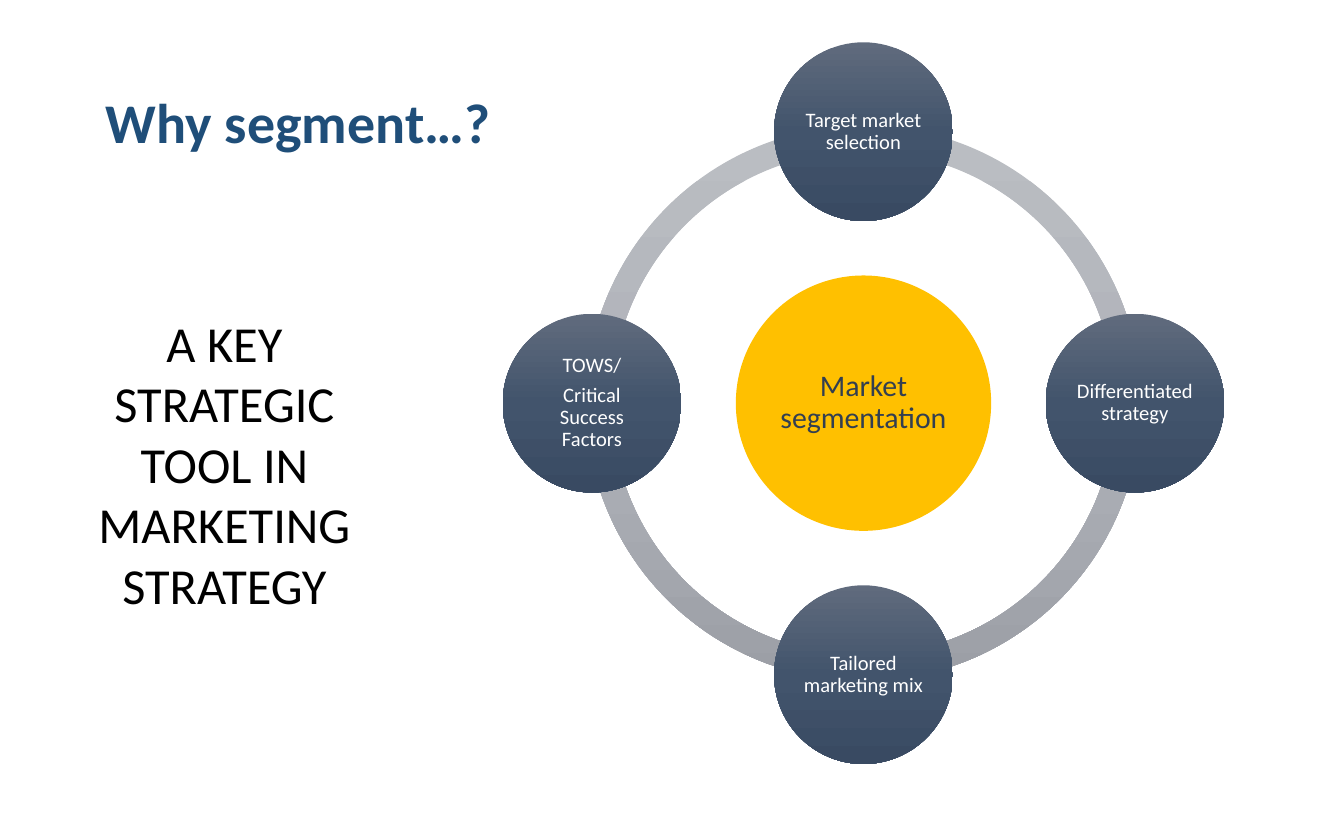
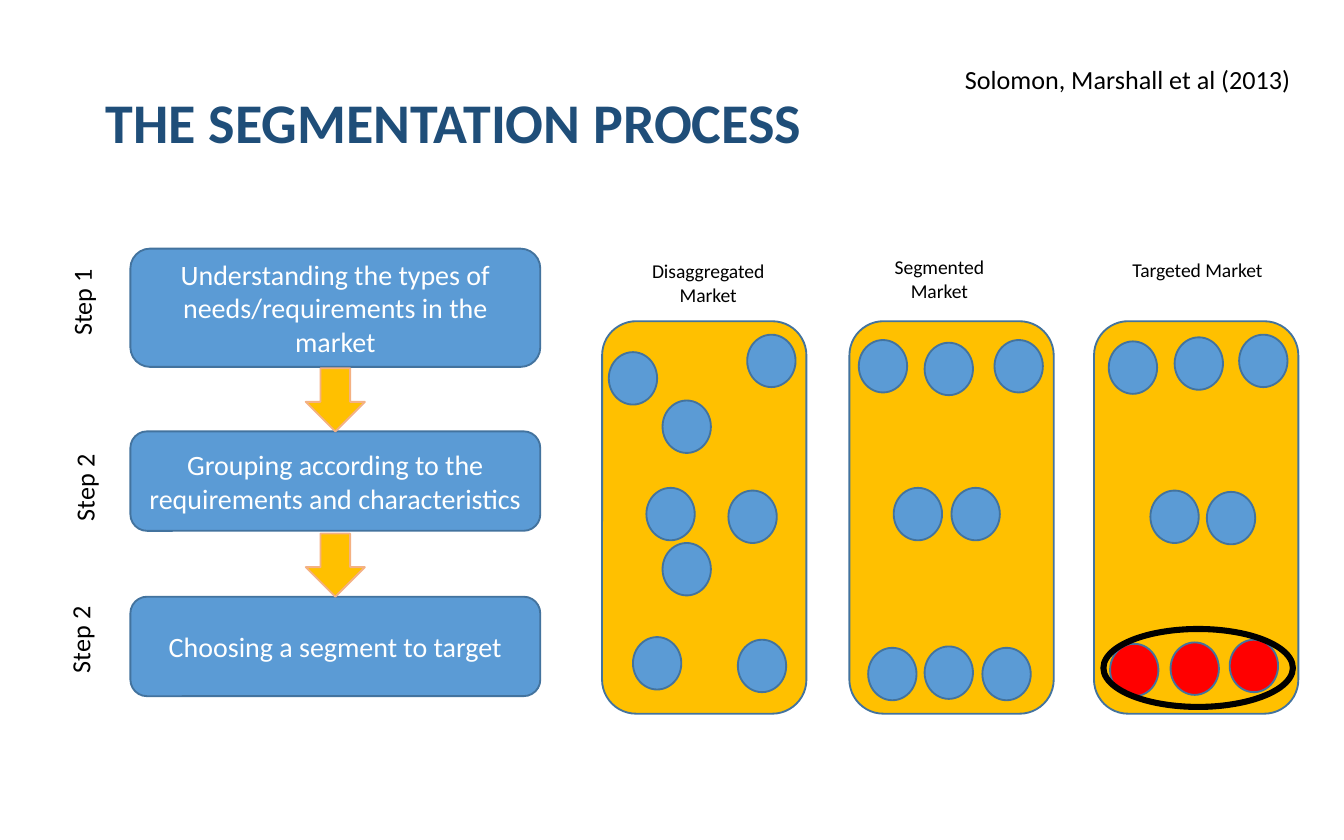
from copy import deepcopy
from pptx import Presentation
from pptx.dml.color import RGBColor
from pptx.enum.shapes import MSO_SHAPE as Form
from pptx.enum.text import MSO_ANCHOR as Anchor, PP_ALIGN as Align
from pptx.oxml.ns import qn
from pptx.util import Inches, Pt

COLS, ROWS = 100, 62.5
NAVY, BLUE, EDGE, GOLD, PEACH = "1F4E79", "5B9BD5", "43739E", "FFC000", "F4B183"
SLATE, RED, BLACK, WHITE = "333F50", "FF0000", "000000", "FFFFFF"
RING = ("BABDC2", "B0B3BA", "9C9FA6")
ORB = ("606B7D", "42546C", "394A62")


def rgb(code):
    return RGBColor.from_string(code)


class Deck:
    """Holds the style and the current slide; lengths are grid columns and rows."""

    def __init__(self):
        self.prs = Presentation()
        self.prs.slide_width, self.prs.slide_height = Inches(10), Inches(6.25)
        self.wide = self.prs.slide_width / COLS
        self.high = self.prs.slide_height / ROWS
        self.font = "Calibri"
        self.slide = None

    def grid(self, x, y, w, h):
        return [round(n * unit) for n, unit in
                zip((x, y, w, h), (self.wide, self.high) * 2)]

    def page(self, title):
        self.slide = self.prs.slides.add_slide(self.prs.slide_layouts[6])
        self.text(title, (6.9, 3.3, 86.2, 12.1), 30, NAVY, align=Align.LEFT,
                  anchor=Anchor.MIDDLE, bold=True, lead=0.9)

    def label(self, shape, words, size, color, align=Align.CENTER,
              anchor=Anchor.TOP, bold=False, lead=1.0, after=0, inset=None):
        frame = shape.text_frame
        frame.word_wrap = True
        frame.vertical_anchor = anchor
        if inset is not None:
            for side in ("left", "top", "right", "bottom"):
                setattr(frame, f"margin_{side}", round(inset * self.wide))
        frame.text = words
        look = {"alignment": align, "line_spacing": lead, "space_after": Pt(after)}
        face = {"name": self.font, "size": Pt(size), "bold": bold}
        for para in frame.paragraphs:
            for key, val in look.items():
                setattr(para, key, val)
            for key, val in face.items():
                setattr(para.font, key, val)
            para.font.color.rgb = rgb(color)

    def text(self, words, box, size, color=BLACK, turn=0, **style):
        shape = self.slide.shapes.add_textbox(*self.grid(*box))
        shape.rotation = turn
        self.label(shape, words, size, color, **style)

    def shape(self, form, box, fill=None, line=None, width=1):
        """Draw a preset; fill is one colour, a tuple of gradient tones or None."""
        shape = self.slide.shapes.add_shape(form, *self.grid(*box))
        shape.shadow.inherit = False
        if fill is None:
            shape.fill.background()
        elif isinstance(fill, tuple):
            self.blend(shape, fill)
        else:
            shape.fill.solid()
            shape.fill.fore_color.rgb = rgb(fill)
        if line:
            shape.line.color.rgb = rgb(line)
            shape.line.width = Pt(width)
        else:
            shape.line.fill.background()
        return shape

    def blend(self, shape, tones):
        """Fill from top to bottom with three evenly placed tones."""
        shape.fill.gradient()
        shape.fill.gradient_angle = 270
        stops = shape._element.find(".//" + qn("a:gsLst"))
        stops.append(deepcopy(stops[0]))
        for stop, place, tone in zip(shape.fill.gradient_stops, (0, 0.5, 1), tones):
            stop.position = place
            stop.color.rgb = rgb(tone)

    def disc(self, mid, size, fill, words, points, color):
        x, y = mid
        shape = self.shape(Form.OVAL, (x - size / 2, y - size / 2, size, size), fill)
        self.label(shape, words, points, color, anchor=Anchor.MIDDLE, lead=0.9,
                   after=points * 0.35, inset=0.2)

    def arc(self, box, start, end):
        shape = self.shape(Form.BLOCK_ARC, box, RING)
        # One degree is 0.6 in adjustment units
        for i, val in enumerate((start * 0.6, end * 0.6, 0.046)):
            shape.adjustments[i] = val

    def dot(self, x, y, fill=BLUE):
        self.shape(Form.OVAL, (x, y, 3.6, 3.9), fill, EDGE)


def why(deck):
    deck.page("Why segment…?")
    x, y, reach, ring = 64.25, 30, 20.2, 41.3
    for start in (180, 90, 0, 270):
        deck.arc((x - ring / 2, y - ring / 2, ring, ring), start, (start + 90) % 360)
    deck.disc((x, y), 19, GOLD, "Market segmentation", 16, SLATE)
    orbs = (("Target market selection", 0, -1), ("Differentiated strategy", 1, 0),
            ("Tailored marketing mix", 0, 1),
            ("TOWS/\nCritical Success Factors", -1, 0))
    for words, dx, dy in orbs:
        deck.disc((x + dx * reach, y + dy * reach), 13.3, ORB, words, 11, WHITE)
    deck.text("A KEY STRATEGIC TOOL IN MARKETING STRATEGY", (5.5, 22.7, 22.4, 23.7), 27)


def process(deck):
    deck.page("THE SEGMENTATION PROCESS")
    # Words, top, height, step name, its left and top
    steps = (
        ("Understanding the types of needs/requirements in the market",
         18.5, 8.8, "Step 1", 1.3, 20.8),
        ("Grouping according to the requirements and characteristics",
         32.1, 7.4, "Step 2", 1.5, 34.6),
        ("Choosing a segment to target", 44.4, 7.4, "Step 2", 1.2, 45.9),
    )
    for i, (words, top, high, name, left, ntop) in enumerate(steps):
        card = deck.shape(Form.ROUNDED_RECTANGLE, (9.7, top, 30.5, high), BLUE, EDGE)
        deck.label(card, words, 15, WHITE, anchor=Anchor.MIDDLE)
        if i:
            deck.shape(Form.DOWN_ARROW, (22.75, top - 4.7, 4.4, 4.7), GOLD, PEACH)
        deck.text(name, (left, ntop, 9.6, 3.4), 14, turn=270)

    # Panel left, heading, heading left and top, dots and chosen dots in the panel
    panels = (
        (44.8, "Disaggregated Market", 46.2, 18.8,
         ((0.5, 2.3), (10.8, 1), (4.5, 5.9), (3.3, 12.4), (9.4, 12.6),
          (4.5, 16.5), (2.3, 23.5), (10.1, 23.7)), ()),
        (63.2, "Segmented\nMarket", 63.4, 18.5,
         ((0.7, 1.4), (5.6, 1.6), (10.8, 1.4), (3.3, 12.4), (7.6, 12.4),
          (1.4, 24.3), (5.6, 24.2), (9.9, 24.3)), ()),
        (81.4, "Targeted Market", 82.6, 18.7,
         ((1.1, 1.5), (6, 1.2), (10.8, 1), (4.2, 12.6), (8.4, 12.7)),
         ((1.2, 24), (5.7, 23.9), (10.1, 23.7))),
    )
    top = 23.9
    for left, head, hleft, htop, dots, picks in panels:
        deck.shape(Form.ROUNDED_RECTANGLE, (left, top, 15.2, 29.2), GOLD, EDGE)
        for group, fill in ((dots, BLUE), (picks, RED)):
            for x, y in group:
                deck.dot(left + x, top + y, fill)
        deck.text(head, (hleft, htop, 13, 4.6), 10.5)
    deck.shape(Form.OVAL, (82.1, 46.8, 14.1, 5.8), line=BLACK, width=3.25)
    deck.text("Solomon, Marshall et al (2013)", (70.8, 4.2, 29.2, 3.4), 14,
              align=Align.LEFT)


def main():
    deck = Deck()
    why(deck)
    process(deck)
    deck.prs.save("out.pptx")


if __name__ == "__main__":
    main()
